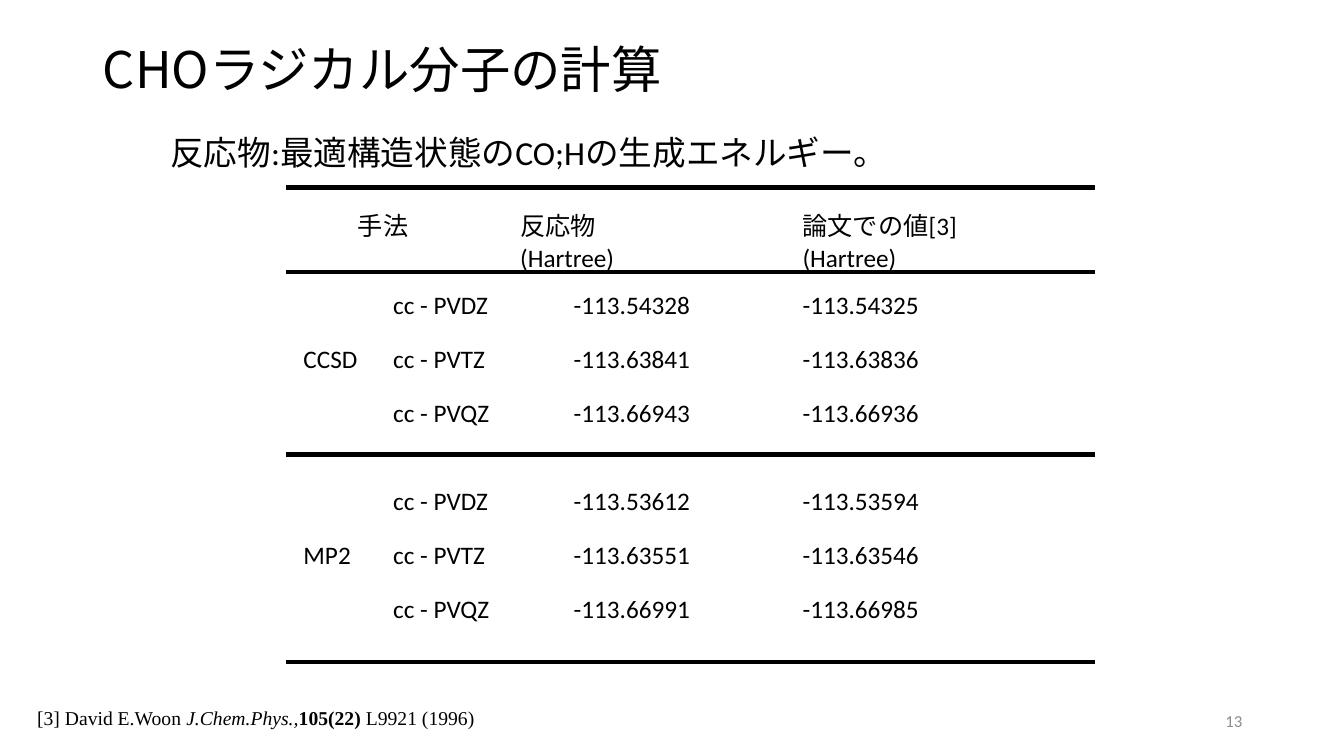
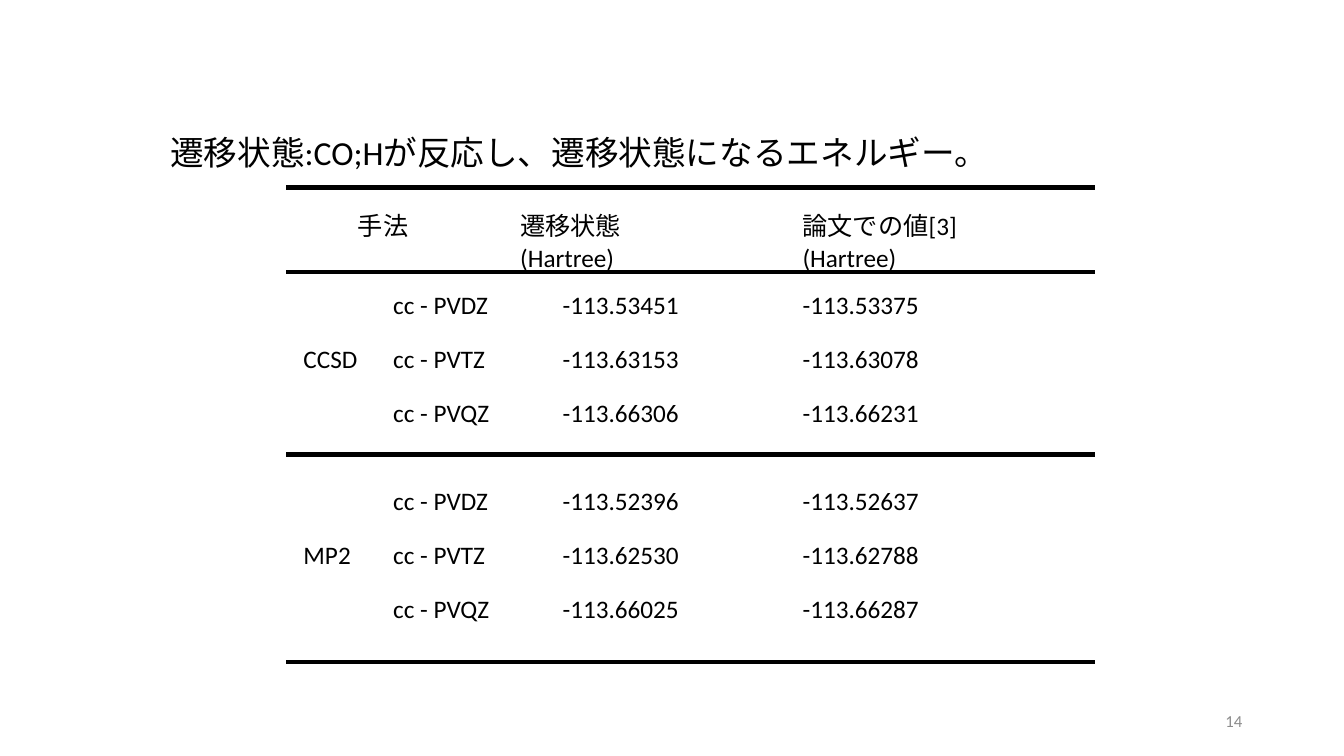
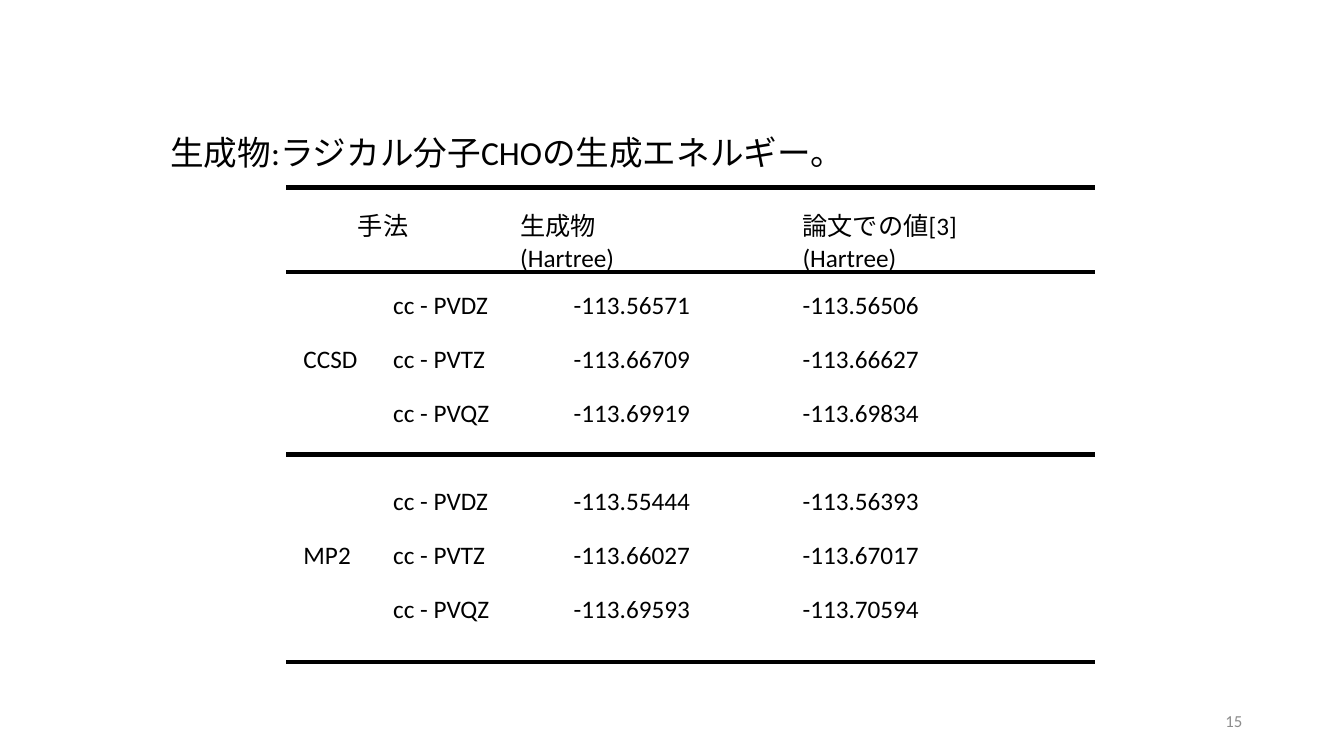
"""Build three slides of CHO radical energies, each with a ruled table."""
import dataclasses

import lxml.etree
import pptx
import pptx.dml.color
import pptx.enum.lang
import pptx.enum.shapes
import pptx.enum.text
import pptx.oxml.ns
import pptx.util

Inches = pptx.util.Inches
Pt = pptx.util.Pt
Align = pptx.enum.text.PP_ALIGN
Anchor = pptx.enum.text.MSO_ANCHOR
Fit = pptx.enum.text.MSO_AUTO_SIZE

INK = "000000"
GRAY = "8C8C8C"
SANS = "Calibri"
SERIF = "Times New Roman"
GOTHIC = "Noto Sans CJK JP"
PLAIN = "{2D5ABB26-0587-4C30-8999-92F81FD0307C}"

LEFT, TOP = 2.84, 1.86
WIDTHS = (0.96, 1.26, 2.8, 3)
HEIGHTS = (0.84, 0.54, 0.54, 0.73, 0.67, 0.54, 0.85)
PADS = (0.19, 0.18, 0.18, 0.17, 0.32, 0.18, 0.18)
BASES = ("cc - PVDZ", "cc - PVTZ", "cc - PVQZ")
GROUPS = {2: "CCSD", 5: "MP2"}
RULES = (0, 1, 4, 7)


@dataclasses.dataclass(frozen=True)
class Style:
    """Look of a run."""
    size: float
    font: str = SANS
    color: str = INK
    bold: bool = False
    italic: bool = False


@dataclasses.dataclass(frozen=True)
class Page:
    """Content of one slide."""
    number: int
    caption: str
    width: float
    state: str
    indent: float
    ours: tuple[str, ...]
    paper: tuple[str, ...]
    title: str = ""
    notes: tuple[tuple[str, Style], ...] = ()


HEAD = Style(36, GOTHIC)
LEAD = Style(24)
CELL = Style(18)
FOOT = Style(12, color=GRAY)
NOTE = Style(14, SERIF)

PAGES = (
    Page(13, "反応物:最適構造状態のCO;Hの生成エネルギー。", 7.38, "反応物", 0.63,
         ("-113.54328", "-113.63841", "-113.66943",
          "-113.53612", "-113.63551", "-113.66991"),
         ("-113.54325", "-113.63836", "-113.66936",
          "-113.53594", "-113.63546", "-113.66985"),
         "CHOラジカル分子の計算",
         (("[3] David E.Woon ", NOTE),
          ("J.Chem.Phys.,", dataclasses.replace(NOTE, italic=True)),
          ("105(22)", dataclasses.replace(NOTE, bold=True)),
          (" L9921 (1996)", NOTE))),
    Page(14, "遷移状態:CO;Hが反応し、遷移状態になるエネルギー。", 8.39, "遷移状態", 0.52,
         ("-113.53451", "-113.63153", "-113.66306",
          "-113.52396", "-113.62530", "-113.66025"),
         ("-113.53375", "-113.63078", "-113.66231",
          "-113.52637", "-113.62788", "-113.66287")),
    Page(15, "生成物:ラジカル分子CHOの生成エネルギー。", 6.96, "生成物", 0.63,
         ("-113.56571", "-113.66709", "-113.69919",
          "-113.55444", "-113.66027", "-113.69593"),
         ("-113.56506", "-113.66627", "-113.69834",
          "-113.56393", "-113.67017", "-113.70594")),
)


def paint(color: str) -> pptx.dml.color.RGBColor:
    """Turn a hex string into a colour."""
    return pptx.dml.color.RGBColor.from_string(color)


def write(para, text: str, style: Style) -> None:
    """Add one run to a paragraph."""
    run = para.add_run()
    run.text = text
    font = run.font
    font.name, font.size = style.font, Pt(style.size)
    font.bold, font.italic = style.bold, style.italic
    font.color.rgb = paint(style.color)
    font.language_id = pptx.enum.lang.MSO_LANGUAGE_ID.JAPANESE


def label(slide, left: float, top: float, width: float, height: float,
          runs: tuple[tuple[str, Style], ...], wrap: bool = True):
    """Add a text box of runs and return its frame."""
    box = slide.shapes.add_textbox(
        Inches(left), Inches(top), Inches(width), Inches(height))
    frame = box.text_frame
    frame.word_wrap = wrap
    frame.auto_size = Fit.NONE if wrap else Fit.SHAPE_TO_FIT_TEXT
    for text, style in runs:
        write(frame.paragraphs[0], text, style)
    return frame


def rule(slide, top: float) -> None:
    """Draw a thick line across the table."""
    line = slide.shapes.add_connector(
        pptx.enum.shapes.MSO_CONNECTOR.STRAIGHT, Inches(LEFT), Inches(top),
        Inches(LEFT + sum(WIDTHS)), Inches(top))
    line.line.width = Pt(3)
    line.line.color.rgb = paint(INK)
    lxml.etree.SubElement(line._element.spPr, pptx.oxml.ns.qn("a:effectLst"))


def fill(cell, text: str, left: float, top: float) -> None:
    """Set the text and margins of a cell."""
    cell.fill.background()
    cell.vertical_anchor = Anchor.TOP
    cell.margin_left, cell.margin_top = Inches(left), Inches(top)
    cell.margin_right, cell.margin_bottom = Inches(0.05), 0
    para = cell.text_frame.paragraphs[0]
    for step, part in enumerate(text.split("\n")):
        if step:
            para.add_line_break()
        if part:
            write(para, part, CELL)


def grid(slide, page: Page) -> None:
    """Add the ruled table of energies."""
    frame = slide.shapes.add_table(
        len(HEIGHTS), len(WIDTHS), Inches(LEFT), Inches(TOP),
        Inches(sum(WIDTHS)), Inches(sum(HEIGHTS)))
    table = frame.table
    table.horz_banding = False
    table._tbl.tblPr.find(pptx.oxml.ns.qn("a:tableStyleId")).text = PLAIN
    for col, width in zip(table.columns, WIDTHS):
        col.width = Inches(width)
    rows = [("手法", "", f"{page.state}\n(Hartree)", "論文での値[3]\n(Hartree)")]
    for step, pair in enumerate(zip(page.ours, page.paper)):
        rows.append((GROUPS.get(step + 1, ""), BASES[step % 3], *pair))
    table.cell(0, 0).merge(table.cell(0, 1))
    for row, texts in enumerate(rows):
        table.rows[row].height = Inches(HEIGHTS[row])
        lefts = (0.17, 0.1, page.indent, 0.1) if row else (0.71, 0.1, 0.1, 0.1)
        for col, text in enumerate(texts):
            fill(table.cell(row, col), text, lefts[col], PADS[row])
    for row in RULES:
        rule(slide, TOP + sum(HEIGHTS[:row]))


def head(slide, text: str) -> None:
    """Place the slide title."""
    title = slide.shapes.title
    title.left, title.top = Inches(0.92), Inches(0.4)
    title.width, title.height = Inches(11.5), Inches(1.45)
    frame = title.text_frame
    frame.auto_size = Fit.NONE
    frame.vertical_anchor = Anchor.TOP
    para = frame.paragraphs[0]
    para.alignment, para.line_spacing = Align.LEFT, 0.9
    write(para, text, HEAD)


def build(deck, page: Page) -> None:
    """Add one slide."""
    slide = deck.slides.add_slide(deck.slide_layouts[5 if page.title else 6])
    if page.title:
        head(slide, page.title)
    label(slide, 1.59, 1.26, page.width, 0.5, ((page.caption, LEAD),), False)
    grid(slide, page)
    if page.notes:
        label(slide, 0.27, 6.95, 9.07, 0.34, page.notes)
    frame = label(slide, 9.42, 6.95, 3, 0.4, ((str(page.number), FOOT),))
    frame.vertical_anchor = Anchor.MIDDLE
    frame.paragraphs[0].alignment = Align.RIGHT


def main() -> None:
    """Build and save the deck."""
    deck = pptx.Presentation()
    deck.slide_width, deck.slide_height = Inches(13.33), Inches(7.5)
    for page in PAGES:
        build(deck, page)
    deck.save("out.pptx")


if __name__ == "__main__":
    main()
